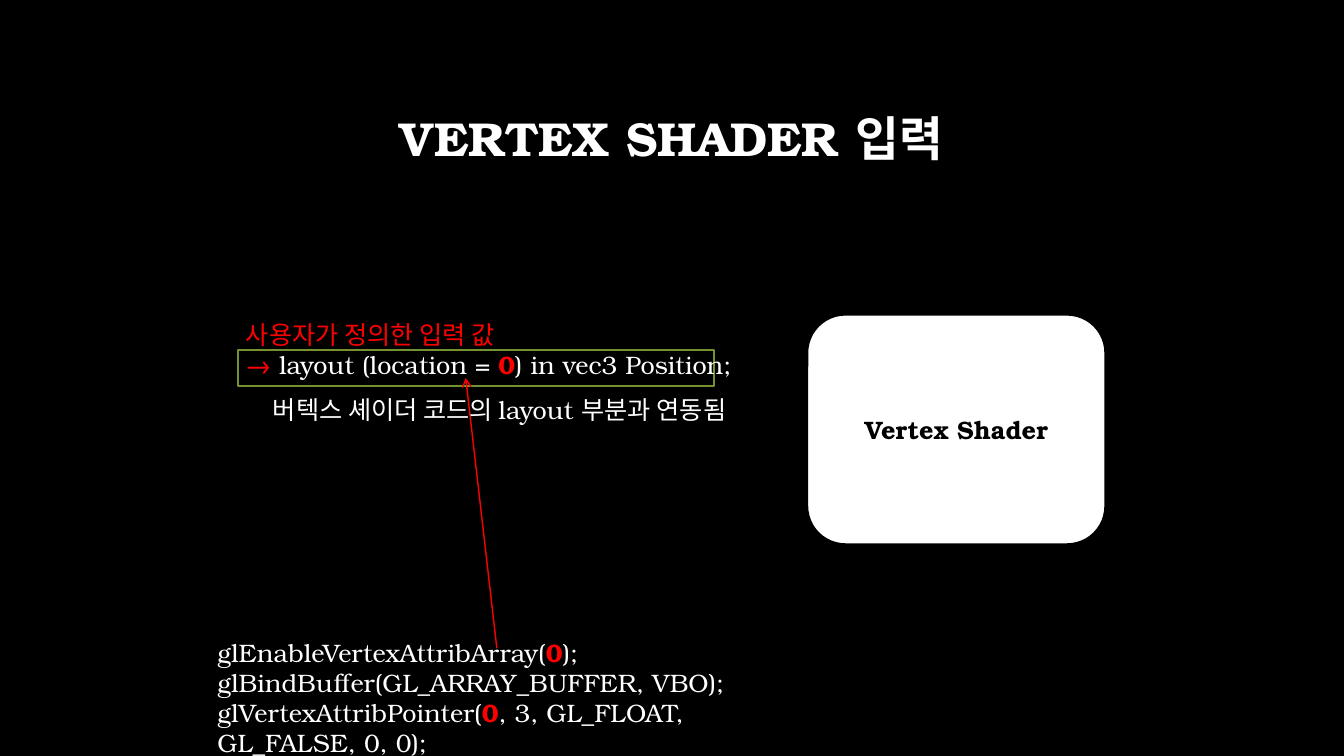
from dataclasses import dataclass

from pptx import Presentation
from pptx import util as u
from pptx.dml.color import RGBColor
from pptx.enum import shapes, text
from pptx.oxml import parse_xml
from pptx.oxml.ns import nsdecls


@dataclass(frozen=True)
class Theme:
    font: str = "TeX Gyre Bonum"
    black: str = "000000"
    white: str = "FFFFFF"
    red: str = "FF0000"
    green: str = "759232"
    title_size: int = 34
    body_size: int = 18
    outline: float = 1.5
    arrow: float = 1


class SlideBuilder:
    columns, rows = 32, 18

    def __init__(self, presentation, theme):
        self.theme = theme
        self.column = presentation.slide_width / self.columns
        self.row = presentation.slide_height / self.rows
        self.slide = presentation.slides.add_slide(presentation.slide_layouts[6])
        self.paint(self.slide.background.fill, theme.black)

    def paint(self, fill, color):
        fill.solid()
        fill.fore_color.rgb = RGBColor.from_string(color)

    def place(self, *cells):
        return [round(cell * (self.row if index % 2 else self.column))
                for index, cell in enumerate(cells)]

    def set_lines(self, frame, lines, size, align, anchor):
        frame.word_wrap = True
        frame.vertical_anchor = anchor
        for index, line in enumerate(lines):
            paragraph = frame.add_paragraph() if index else frame.paragraphs[0]
            paragraph.alignment = align
            for content, color, bold in line:
                run = paragraph.add_run()
                run.text = content
                run.font.name = self.theme.font
                run.font.size = u.Pt(size)
                run.font.bold = bold
                run.font.color.rgb = RGBColor.from_string(color)

    def text_box(self, cells, lines, size=None, align=text.PP_ALIGN.LEFT,
                 anchor=text.MSO_ANCHOR.TOP):
        shape = self.slide.shapes.add_textbox(*self.place(*cells))
        self.set_lines(shape.text_frame, lines, size or self.theme.body_size,
                       align, anchor)
        return shape

    def box(self, kind, cells, line, fill=None, lines=()):
        shape = self.slide.shapes.add_shape(kind, *self.place(*cells))
        shape.shadow.inherit = False
        if fill:
            self.paint(shape.fill, fill)
        else:
            shape.fill.background()
        shape.line.color.rgb = RGBColor.from_string(line)
        shape.line.width = u.Pt(self.theme.outline)
        self.set_lines(shape.text_frame, lines, self.theme.body_size,
                       text.PP_ALIGN.CENTER, text.MSO_ANCHOR.MIDDLE)

    def arrow(self, cells, color):
        connector = self.slide.shapes.add_connector(
            shapes.MSO_CONNECTOR.STRAIGHT, *self.place(*cells))
        connector.line.color.rgb = RGBColor.from_string(color)
        connector.line.width = u.Pt(self.theme.arrow)
        connector.line._get_or_add_ln().append(
            parse_xml(f'<a:tailEnd {nsdecls("a")} type="arrow"/>'))
        connector._element.spPr.append(parse_xml(f'<a:effectLst {nsdecls("a")}/>'))


def main():
    presentation = Presentation()
    presentation.slide_width = u.Inches(13.33)
    presentation.slide_height = u.Inches(7.5)
    theme = Theme()
    builder = SlideBuilder(presentation, theme)

    def plain(content):
        return content, theme.white, False

    location = ("0", theme.red, True)

    builder.box(shapes.MSO_SHAPE.RECTANGLE, (5.66, 8.33, 11.35, 0.86), theme.green)
    title = builder.text_box(
        (2.4, 1.61, 27.17, 3.48), [[("VERTEX SHADER 입력", theme.white, True)]],
        theme.title_size, text.PP_ALIGN.CENTER, text.MSO_ANCHOR.MIDDLE)
    title.text_frame.paragraphs[0].line_spacing = 0.9
    builder.box(shapes.MSO_SHAPE.ROUNDED_RECTANGLE, (19.22, 7.49, 7.1, 5.47),
                theme.black, theme.white, [[("Vertex Shader", theme.black, True)]])
    builder.text_box((5.62, 7.49, 13.61, 1.7), [
        [("사용자가 정의한 입력 값", theme.red, False)],
        [("→ ", theme.red, False), plain("layout (location = "), location,
         plain(") in vec3 Position;")],
    ])
    builder.text_box((4.94, 15.05, 14.95, 2.42), [
        [plain("glEnableVertexAttribArray("), location, plain(");")],
        [plain("glBindBuffer(GL_ARRAY_BUFFER, VBO);")],
        [plain("glVertexAttribPointer("), location,
         plain(", 3, GL_FLOAT, GL_FALSE, 0, 0);")],
    ])
    builder.arrow((11.83, 15.43, 11.09, 9), theme.red)
    builder.text_box((4.9, 9.26, 13.99, 0.96),
                     [[plain("버텍스 셰이더 코드의 layout 부분과 연동됨")]],
                     align=text.PP_ALIGN.CENTER)
    presentation.save("out.pptx")


if __name__ == "__main__":
    main()
